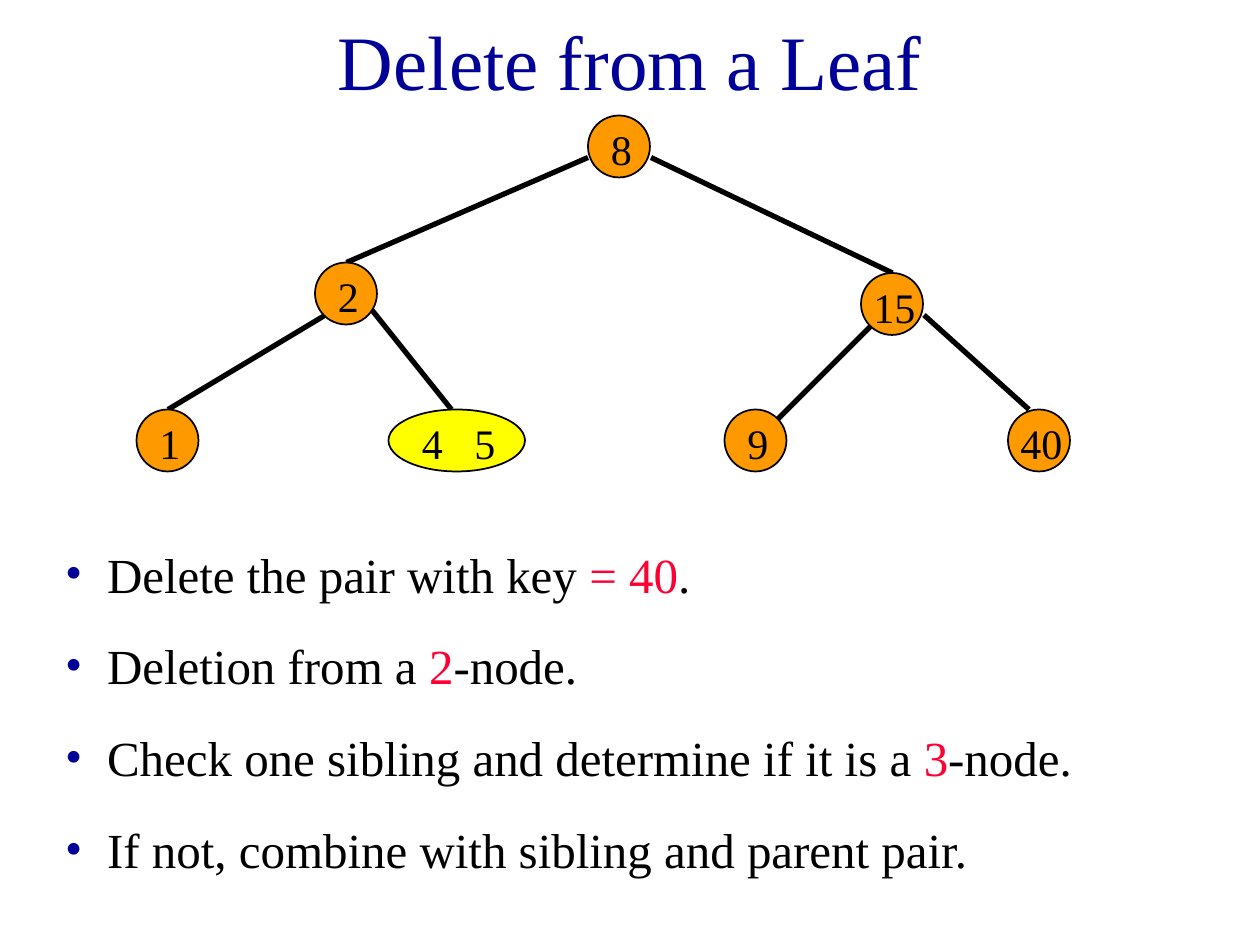
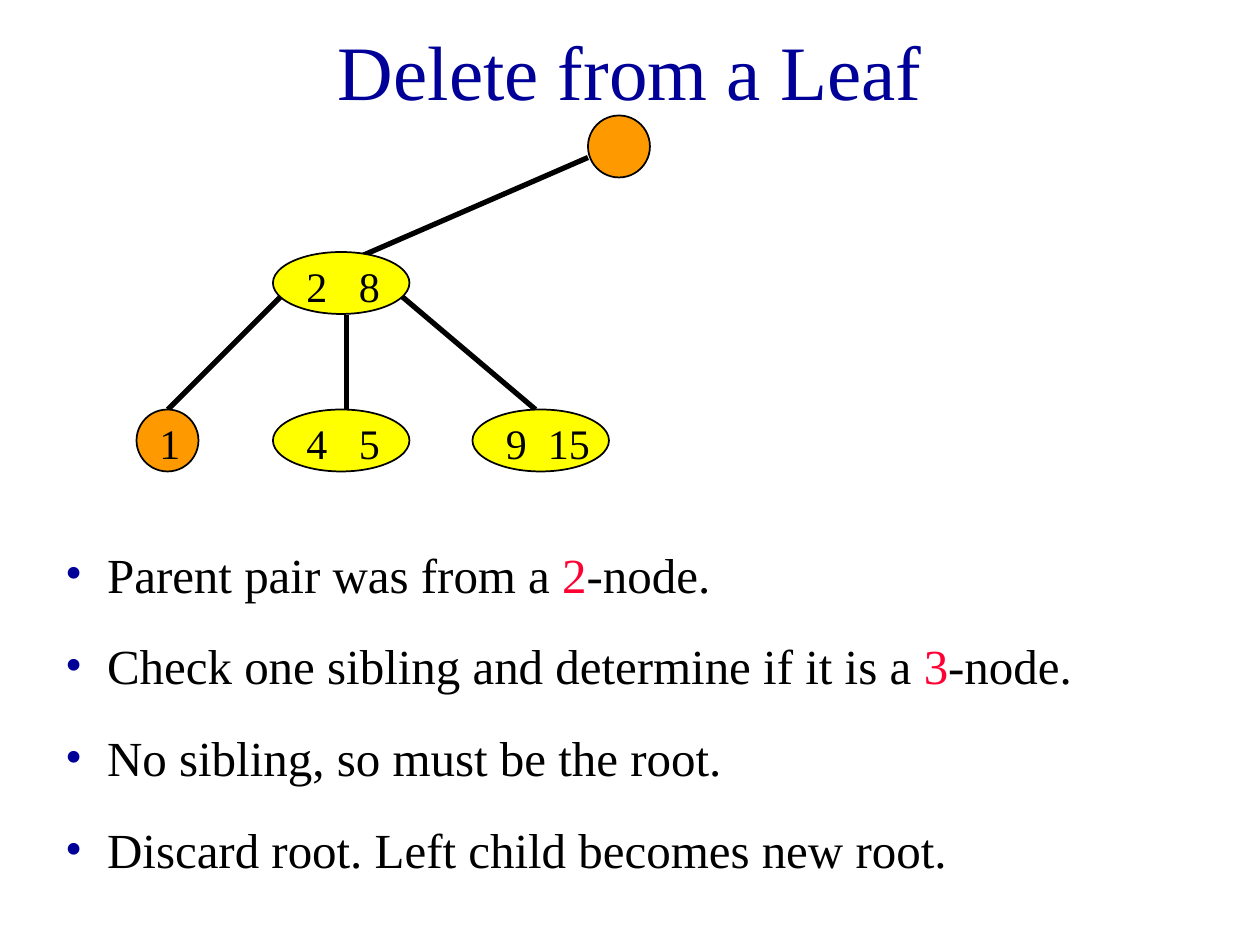
from typing import NamedTuple

from lxml.etree import SubElement
from pptx import Presentation
from pptx.dml.color import RGBColor
from pptx.enum.shapes import MSO_CONNECTOR, MSO_SHAPE
from pptx.enum.text import MSO_ANCHOR, MSO_AUTO_SIZE, PP_ALIGN
from pptx.oxml.ns import qn
from pptx.util import Pt

SCALE = 7620
FONT = "Times New Roman"
COLORS = {
    "navy": "000099",
    "black": "000000",
    "red": "FF0033",
    "orange": "FF9900",
    "yellow": "FFFF00",
}
NODE_HIGH = 59
LABEL_HIGH = 60
INDENT = 40
LEADING = 1.04


class Node(NamedTuple):
    left: int
    top: int
    keys: tuple[str, ...] = ()

    @property
    def pair(self) -> bool:
        return len(self.keys) == 2

    @property
    def shift(self) -> int:
        if self.pair:
            return 20
        return 10 if len(self.keys[0]) == 1 else 0

    @property
    def room(self) -> int:
        digits = len("".join(self.keys))
        return 100 + 30 * (digits - 2) if self.pair else 30 + 20 * digits


class Edge(NamedTuple):
    left: int
    top: int
    right: int
    base: int


class Page(NamedTuple):
    top: int
    high: int
    edges: list[Edge]
    nodes: list[Node]
    points: list[tuple[str, ...]]


PAGES = [
    Page(
        0, 110,
        [
            Edge(560, 150, 330, 250),
            Edge(620, 150, 850, 260),
            Edge(310, 300, 160, 390),
            Edge(830, 310, 740, 400),
            Edge(880, 300, 980, 390),
            Edge(350, 290, 430, 390),
        ],
        [
            Node(560, 110, ("8",)),
            Node(300, 250, ("2",)),
            Node(820, 260, ("15",)),
            Node(130, 390, ("1",)),
            Node(370, 390, ("4", "5")),
            Node(690, 390, ("9",)),
            Node(960, 390, ("40",)),
        ],
        [
            ("Delete the pair with key ", "= 40", "."),
            ("Deletion from a ", "2", "-node."),
            ("Check one sibling and determine if it is a ", "3", "-node."),
            ("If not, combine with sibling and parent pair.",),
        ],
    ),
    Page(
        20, 90,
        [
            Edge(560, 150, 330, 250),
            Edge(270, 280, 160, 390),
            Edge(380, 280, 510, 390),
            Edge(330, 300, 330, 390),
        ],
        [
            Node(560, 110),
            Node(260, 240, ("2", "8")),
            Node(130, 390, ("1",)),
            Node(260, 390, ("4", "5")),
            Node(450, 390, ("9", "15")),
        ],
        [
            ("Parent pair was from a ", "2", "-node."),
            ("Check one sibling and determine if it is a ", "3", "-node."),
            ("No sibling, so must be the root.",),
            ("Discard root. Left child becomes new root.",),
        ],
    ),
]


def px(*sizes: int) -> list[int]:
    return [size * SCALE for size in sizes]


def tint(name: str) -> RGBColor:
    return RGBColor.from_string(COLORS[name])


def write(para, text: str, size: int, color: str) -> None:
    para.line_spacing = LEADING
    run = para.add_run()
    run.text = text
    run.font.name = FONT
    run.font.size = Pt(size)
    run.font.color.rgb = tint(color)


def place(shape, left: int, top: int, wide: int, high: int):
    shape.left, shape.top, shape.width, shape.height = px(left, top, wide, high)
    frame = shape.text_frame
    frame.word_wrap = True
    frame.auto_size = MSO_AUTO_SIZE.NONE
    return frame


def draw_title(slide, page: Page) -> None:
    frame = place(slide.shapes.title, 90, page.top, 1020, page.high)
    frame.vertical_anchor = MSO_ANCHOR.MIDDLE
    para = frame.paragraphs[0]
    para.alignment = PP_ALIGN.CENTER
    write(para, "Delete from a Leaf", 44, "navy")


def draw_edge(slide, edge: Edge) -> None:
    line = slide.shapes.add_connector(MSO_CONNECTOR.STRAIGHT, *px(*edge))
    line.line.color.rgb = tint("black")
    line.line.width = Pt(3)
    SubElement(line._element.spPr, qn("a:effectLst"))


def draw_node(slide, node: Node) -> None:
    wide = 130 if node.pair else NODE_HIGH
    oval = slide.shapes.add_shape(
        MSO_SHAPE.OVAL, *px(node.left, node.top, wide, NODE_HIGH))
    oval.shadow.inherit = False
    oval.fill.solid()
    oval.fill.fore_color.rgb = tint("yellow" if node.pair else "orange")
    oval.line.color.rgb = tint("black")
    oval.line.width = Pt(1)
    if node.keys:
        draw_label(slide, node)


def draw_label(slide, node: Node) -> None:
    box = slide.shapes.add_textbox(0, 0, 0, 0)
    frame = place(box, node.left + node.shift, node.top, node.room, LABEL_HIGH)
    para = frame.paragraphs[0]
    write(para, "\t".join(node.keys), 24, "black")
    if node.pair:
        stop = 50 if len(node.keys[1]) == 1 else 40
        tabs = SubElement(para._p.get_or_add_pPr(), qn("a:tabLst"))
        SubElement(tabs, qn("a:tab"), pos=str(stop * SCALE), algn="l")


def add_bullet(para) -> None:
    props = para._p.get_or_add_pPr()
    props.set("marL", str(INDENT * SCALE))
    props.set("indent", str(-INDENT * SCALE))
    color = SubElement(props, qn("a:buClr"))
    SubElement(color, qn("a:srgbClr"), val=COLORS["navy"])
    SubElement(props, qn("a:buFont"), typeface=FONT)
    SubElement(props, qn("a:buChar"), char="•")


def draw_list(slide, points: list[tuple[str, ...]]) -> None:
    frame = place(slide.placeholders[1], 50, 510, 1150, 324)
    frame.vertical_anchor = MSO_ANCHOR.TOP
    for index, parts in enumerate(points):
        para = frame.add_paragraph() if index else frame.paragraphs[0]
        para.space_before = Pt(17.5)
        for turn, text in enumerate(parts):
            write(para, text, 28, "red" if turn % 2 else "black")
        add_bullet(para)


def main() -> None:
    deck = Presentation()
    deck.slide_width, deck.slide_height = px(1200, 900)
    for page in PAGES:
        slide = deck.slides.add_slide(deck.slide_layouts[1])
        draw_title(slide, page)
        for edge in page.edges:
            draw_edge(slide, edge)
        for node in page.nodes:
            draw_node(slide, node)
        draw_list(slide, page.points)
    deck.save("out.pptx")


if __name__ == "__main__":
    main()
